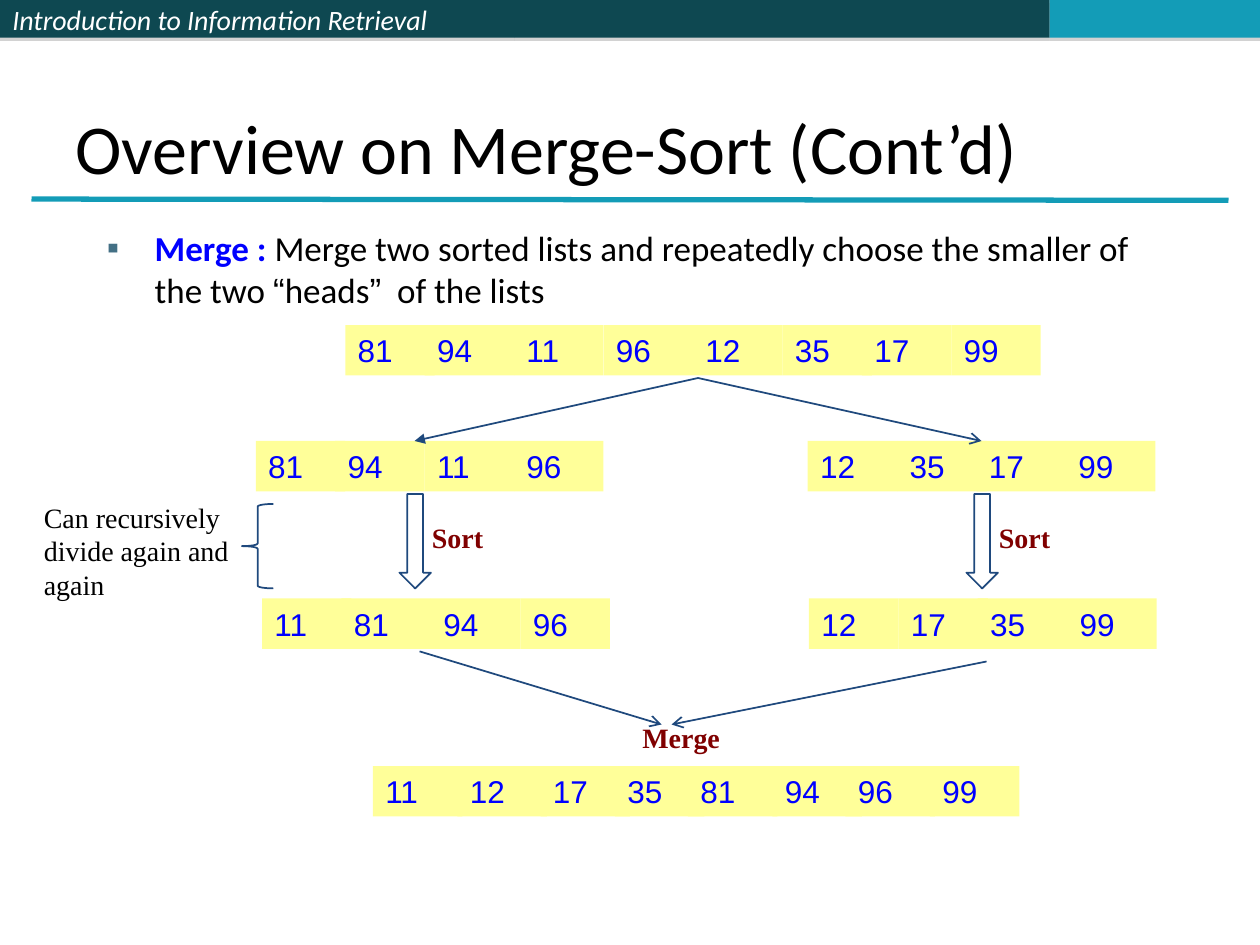
from itertools import accumulate

from lxml import etree
from pptx import Presentation
from pptx import util as u
from pptx.dml import color
from pptx.enum import shapes, text
from pptx.oxml import ns

HUES = {
    "dark": "0E4851", "teal": "139CB7", "white": "FFFFFF", "black": "000000",
    "blue": "0000FF", "cell": "FFFF99", "navy": "1F497D", "red": "800000",
    "mark": "437085", "shade": "808080",
}
CELL = 0.71
ROWS = [
    (2.74, 2.58, "81 94 11 96 12 35 17 99", [0.63, 0.71, 0.71, 0.71, 0.71, 0.63, 0.71]),
    (2.03, 3.5, "81 94 11 96", [0.63, 0.71, 0.71]),
    (6.41, 3.5, "12 35 17 99", [0.71, 0.63, 0.71]),
    (2.08, 4.75, "11 81 94 96", [0.63, 0.71, 0.71]),
    (6.42, 4.75, "12 17 35 99", [0.71, 0.63, 0.71]),
    (2.96, 6.08, "11 12 17 35 81 94 96 99", [0.67, 0.66, 0.59, 0.58, 0.67, 0.58, 0.67]),
]
ARROWS = [
    (5.54, 3, 3.29, 3.5, "triangle"),
    (5.54, 3, 7.79, 3.5, "arrow"),
    (3.33, 5.17, 5.25, 5.75, "arrow"),
    (7.83, 5.25, 5.33, 5.75, "arrow"),
]


def rgb(hue):
    return color.RGBColor.from_string(HUES[hue])


def sub(node, tag, **attrs):
    return etree.SubElement(node, ns.qn(tag), **attrs)


def place(shape, x, y, w, h):
    shape.left, shape.top = u.Inches(x), u.Inches(y)
    shape.width, shape.height = u.Inches(w), u.Inches(h)


def style(font, face, size, hue, bold=False, italic=False):
    font.name, font.size = face, u.Pt(size)
    font.color.rgb = rgb(hue)
    font.bold, font.italic = bold, italic


def write(shape, words, face, size, hue, anchor=text.MSO_ANCHOR.TOP, **looks):
    frame = shape.text_frame
    frame.word_wrap = True
    frame.vertical_anchor = anchor
    para = frame.paragraphs[0]
    para.alignment = text.PP_ALIGN.LEFT
    style(para.font, face, size, hue, **looks)
    para.add_run().text = words


def add_form(slide, kind, x, y, w, h, fill=None, line=None):
    form = slide.shapes.add_shape(kind, *map(u.Inches, (x, y, w, h)))
    form.shadow.inherit = False
    if fill:
        form.fill.solid()
        form.fill.fore_color.rgb = rgb(fill)
    else:
        form.fill.background()
    if line:
        form.line.color.rgb = rgb(line)
        form.line.width = u.Pt(1)
    else:
        form.line.fill.background()
    return form


def add_bar(slide, x, w, fill):
    bar = add_form(slide, shapes.MSO_SHAPE.RECTANGLE, x, 0, w, 0.3, fill)
    effects = bar.element.spPr.find(ns.qn("a:effectLst"))
    shade = sub(effects, "a:outerShdw", blurRad="0", dist=str(u.Pt(1.8)),
                dir="5400000", rotWithShape="0")
    tint = sub(shade, "a:srgbClr", val=HUES["shade"])
    sub(tint, "a:alpha", val="35000")
    return bar


def add_line(slide, x1, y1, x2, y2, hue, width, head=None):
    line = slide.shapes.add_connector(
        shapes.MSO_CONNECTOR.STRAIGHT, *map(u.Inches, (x1, y1, x2, y2)))
    line.line.color.rgb = rgb(hue)
    line.line.width = u.Pt(width)
    if head:
        sub(line.line._get_or_add_ln(), "a:tailEnd", type=head)
    sub(line.element.spPr, "a:effectLst")


def add_label(slide, x, y, w, h, words, hue, bold=False):
    box = slide.shapes.add_textbox(*map(u.Inches, (x, y, w, h)))
    write(box, words, "Times New Roman", 16, hue, bold=bold)


def add_row(slide, x, y, words, steps):
    for left, word in zip(accumulate(steps, initial=x), words.split()):
        cell = add_form(slide, shapes.MSO_SHAPE.RECTANGLE, left, y, CELL, 0.4, "cell")
        write(cell, word, "Arial", 18, "blue")


def add_bullet(slide):
    box = slide.shapes.add_textbox(*map(u.Inches, (0.75, 1.75, 8.5, 1.08)))
    box.text_frame.word_wrap = True
    para = box.text_frame.paragraphs[0]
    props = para._p.get_or_add_pPr()
    props.set("marL", str(u.Inches(0.38)))
    props.set("indent", str(u.Inches(-0.38)))
    sub(sub(props, "a:buClr"), "a:srgbClr", val=HUES["mark"])
    sub(props, "a:buFont", typeface="Arial")
    sub(props, "a:buChar", char="▪")
    runs = [
        ("Merge : ", "Calibri", "blue"),
        ("Merge two sorted lists and repeatedly choose the smaller of the two ",
         "Calibri", "black"),
        ("“", "Arial", "black"),
        ("heads", "Calibri", "black"),
        ("”", "Arial", "black"),
        ("  of the lists", "Calibri", "black"),
    ]
    for words, face, hue in runs:
        run = para.add_run()
        run.text = words
        style(run.font, face, 20, hue, bold=hue == "blue")


def add_frame(slide):
    bar = add_bar(slide, 0, 4.08, "dark")
    write(bar, "Introduction to Information Retrieval", "Calibri", 16, "white",
          text.MSO_ANCHOR.MIDDLE, italic=True)
    add_bar(slide, 4.08, 4.25, "dark")
    add_bar(slide, 8.33, 1.67, "teal")
    add_line(slide, 0.25, 1.58, 9.75, 1.59, "teal", 3)
    title = slide.shapes.title
    place(title, 0.5, 0.3, 9, 1.25)
    write(title, "Overview on Merge-Sort (Cont’d)", "Calibri", 40, "black",
          text.MSO_ANCHOR.BOTTOM)


def main():
    deck = Presentation()
    deck.slide_width, deck.slide_height = u.Inches(10), u.Inches(7.5)
    slide = deck.slides.add_slide(deck.slide_layouts[5])
    add_frame(slide)
    add_bullet(slide)
    for row in ROWS:
        add_row(slide, *row)
    for *ends, head in ARROWS:
        add_line(slide, *ends, "navy", 1, head)
    add_label(slide, 0.25, 3.92, 1.92, 0.9, "Can recursively divide again and again", "black")
    add_form(slide, shapes.MSO_SHAPE.LEFT_BRACE, 1.92, 4, 0.25, 0.67, line="navy")
    for x in (3.17, 7.67):
        add_form(slide, shapes.MSO_SHAPE.DOWN_ARROW, x, 3.92, 0.25, 0.75, line="navy")
        add_label(slide, x + 0.16, 4.08, 0.67, 0.37, "Sort", "red", True)
    add_label(slide, 5, 5.67, 0.92, 0.37, "Merge", "red", True)
    deck.save("out.pptx")


if __name__ == "__main__":
    main()
